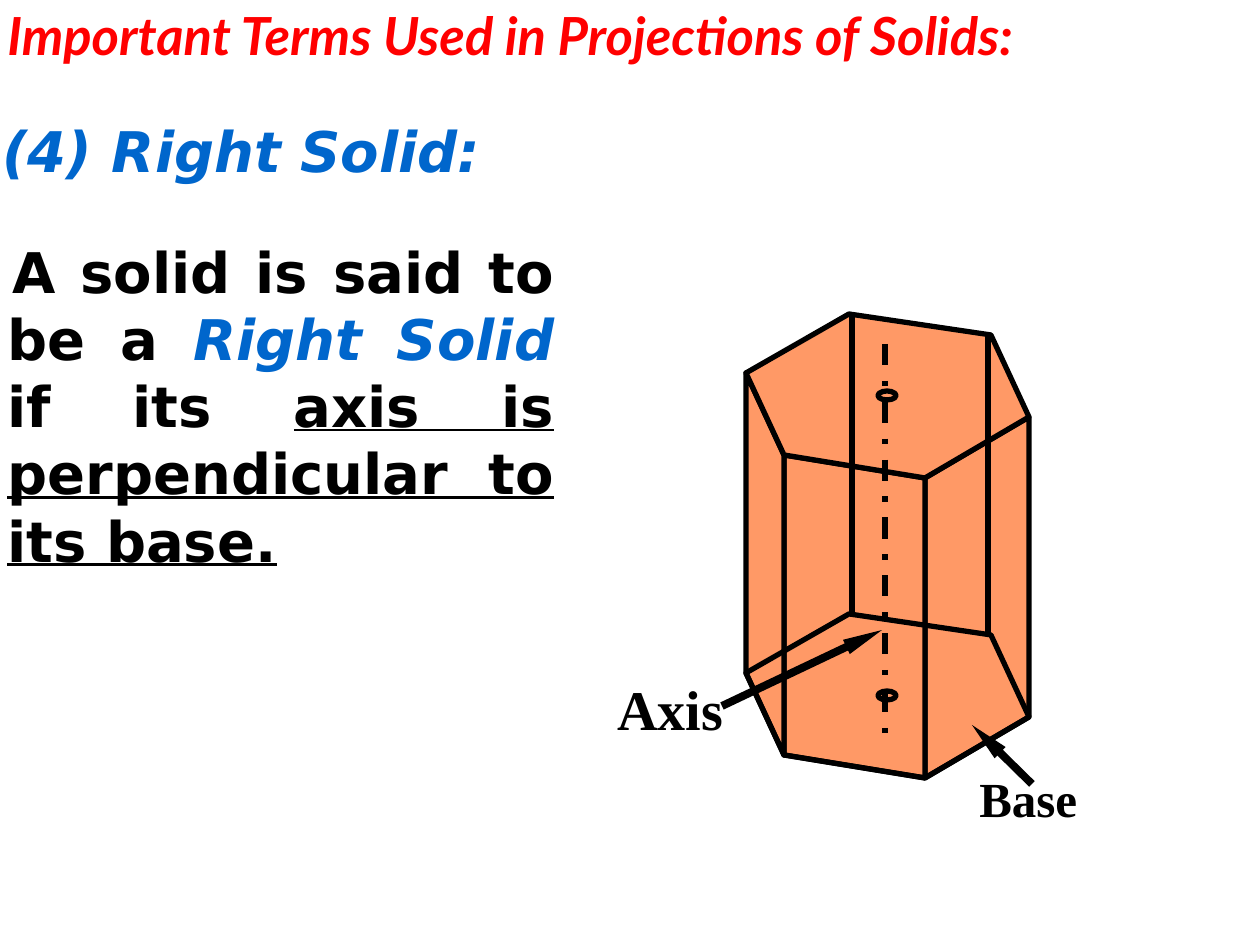
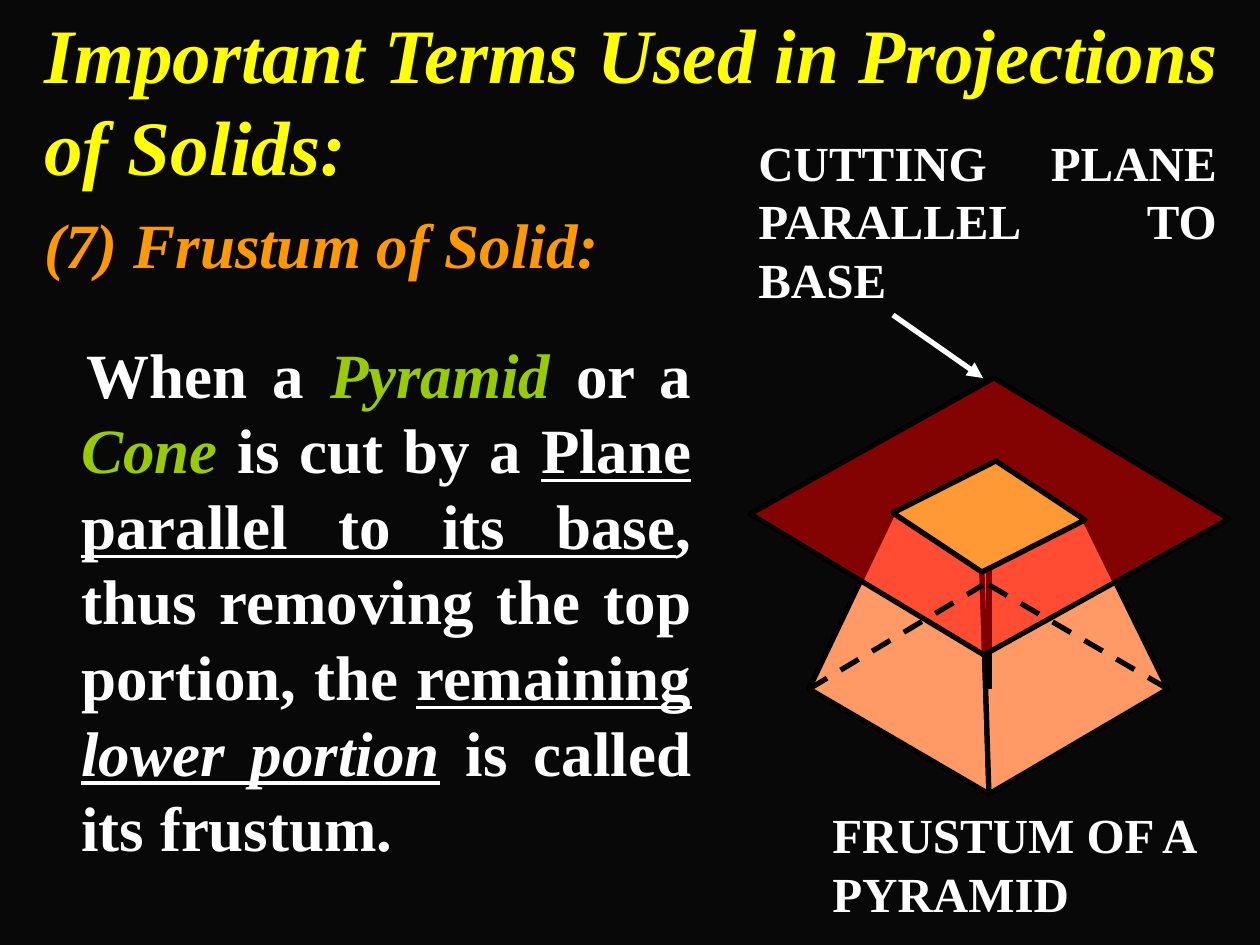
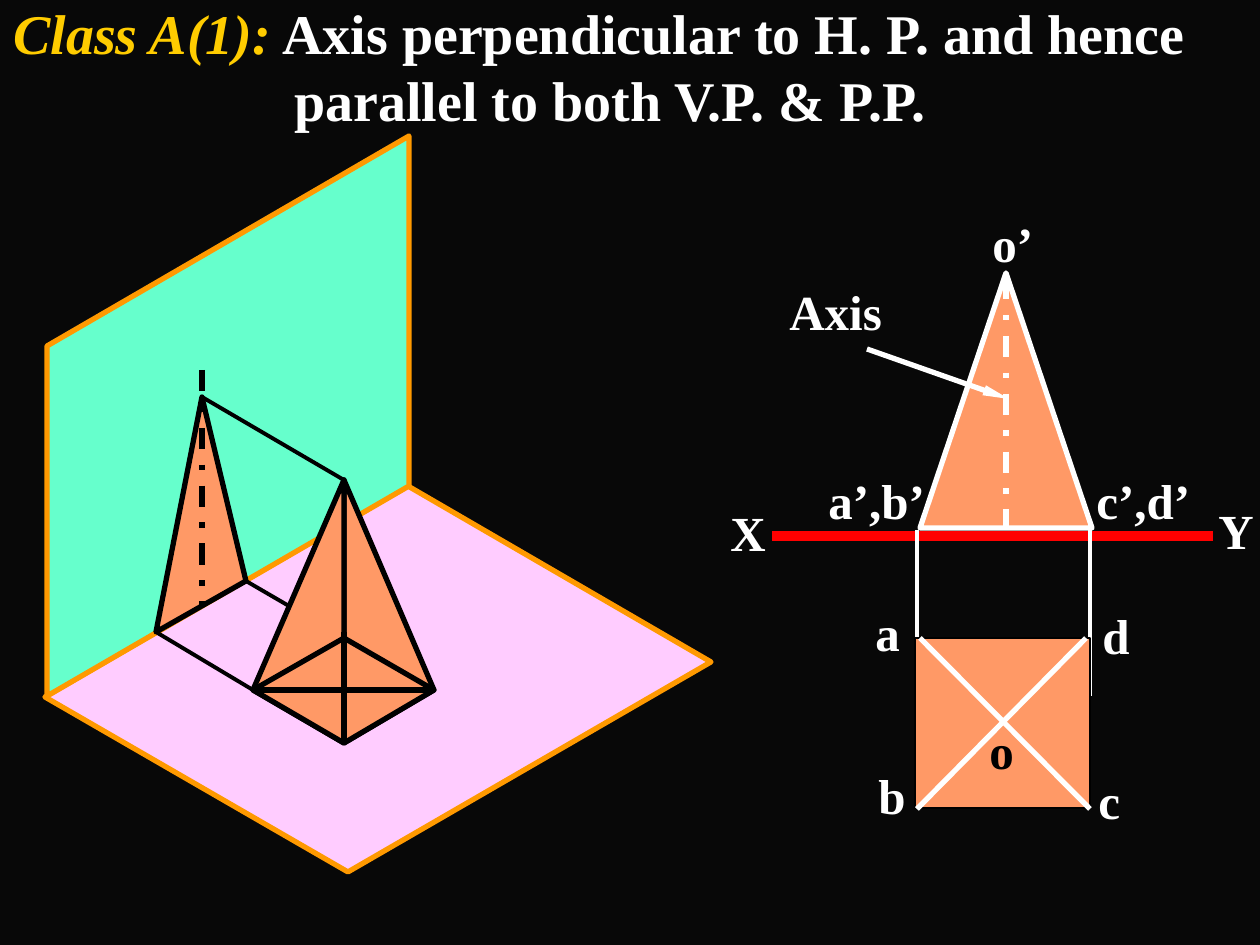
"""Build three slides on the terms and projections of solids."""
import pptx
import pptx.dml.color
import pptx.enum.dml
import pptx.enum.shapes
import pptx.enum.text
import pptx.oxml.ns
import pptx.util
import lxml.etree

PX = pptx.util.Inches(1) / 126
COLORS = {
    "white": "FFFFFF", "black": "000000", "night": "080808", "red": "FF0000",
    "blue": "0066CC", "yellow": "FFFF00", "orange": "FF9900", "gold": "FFCC00",
    "green": "99CC00", "solid": "FF9966", "section": "FF9933",
    "horizontal": "FFCCFF", "vertical": "66FFCC",
}
RGB = {name: pptx.dml.color.RGBColor.from_string(value) for name, value in COLORS.items()}
SERIF = "Times New Roman"
SANS = "DejaVu Sans"
LEFT = pptx.enum.text.PP_ALIGN.LEFT
JUSTIFY = pptx.enum.text.PP_ALIGN.JUSTIFY
DASH = pptx.enum.dml.MSO_LINE.DASH
DASH_DOT = pptx.enum.dml.MSO_LINE.DASH_DOT


def write(page, place, size, spans, font=SERIF, align=LEFT, margin=0, indent=0):
    """Add a bold paragraph made of (text, colour, styles) spans."""
    box = page.shapes.add_textbox(*[round(length * PX) for length in place])
    box.text_frame.word_wrap = True
    box.text_frame.auto_size = pptx.enum.text.MSO_AUTO_SIZE.SHAPE_TO_FIT_TEXT
    para = box.text_frame.paragraphs[0]
    para.alignment = align
    if margin:
        properties = para._p.get_or_add_pPr()
        properties.set("marL", str(round(margin * PX)))
        properties.set("indent", str(round(indent * PX)))
    para.font.name = font
    para.font.size = pptx.util.Pt(size)
    para.font.bold = True
    for text, color, styles in spans:
        span = para.add_run()
        span.text = text
        style = para.font if len(spans) == 1 else span.font
        style.color.rgb = RGB[color]
        style.italic = "i" in styles
        style.underline = "u" in styles


def draw(page, points, color="black", width=3, fill=None, dash=None, arrow=None):
    """Draw a line through two points or a closed outline through more."""
    if len(points) == 2:
        ends = [round(length * PX) for point in points for length in point]
        shape = page.shapes.add_connector(pptx.enum.shapes.MSO_CONNECTOR.STRAIGHT, *ends)
    else:
        builder = page.shapes.build_freeform(*points[0], scale=PX)
        builder.add_line_segments(points[1:], close=True)
        shape = builder.convert_to_shape()
        shape.shadow.inherit = False
        if fill:
            shape.fill.solid()
            shape.fill.fore_color.rgb = RGB[fill]
        else:
            shape.fill.background()
    shape.line.color.rgb = RGB[color]
    shape.line.width = pptx.util.Pt(width)
    if dash:
        shape.line.dash_style = dash
    if arrow:
        tail = lxml.etree.SubElement(shape.line._get_or_add_ln(), pptx.oxml.ns.qn("a:tailEnd"))
        tail.set("type", "triangle")
        tail.set("w", arrow[0])
        tail.set("len", arrow[1])
    if len(points) == 2:
        lxml.etree.SubElement(shape._element.spPr, pptx.oxml.ns.qn("a:effectLst"))
    return shape


deck = pptx.Presentation()
deck.slide_width = round(1260 * PX)
deck.slide_height = round(945 * PX)
pages = []
for background in ("white", "night", "night"):
    page = deck.slides.add_slide(deck.slide_layouts[6])
    page.background.fill.solid()
    page.background.fill.fore_color.rgb = RGB[background]
    pages.append(page)
right_page, frustum_page, class_page = pages
TITLE = "Important Terms Used in Projections of Solids:"

write(right_page, (-5, -3, 1302, 76), 30, [(TITLE, "red", "i")], "Lato", JUSTIFY)
write(right_page, (-10, 110, 514, 79), 32, [("(4) Right Solid:", "blue", "i")],
      SANS, JUSTIFY, 48, -48)
write(right_page, (-53, 231, 620, 349), 32, [
    ("A solid is said to be a ", "black", ""),
    ("Right Solid", "blue", "i"),
    (" if its ", "black", ""),
    ("axis is perpendicular to its base.", "black", "u"),
], SANS, JUSTIFY, 48, 5)

PRISM_HEIGHT = 300
top = [(925, 478), (1029, 417), (991, 335), (849, 314), (746, 373), (784, 455)]
bottom = [(x, y + PRISM_HEIGHT) for x, y in top]
for first, second in ((0, 1), (5, 0), (4, 5)):
    face = [top[first], top[second], bottom[second], bottom[first]]
    draw(right_page, face, fill="solid")
draw(right_page, top, fill="solid")
draw(right_page, bottom)
for x, y in ((988, 333), (852, 316)):
    draw(right_page, [(x, y), (x, y + PRISM_HEIGHT)])
for y in (391, 391 + PRISM_HEIGHT):
    center = right_page.shapes.add_shape(
        pptx.enum.shapes.MSO_SHAPE.OVAL, *[round(length * PX) for length in (878, y, 18, 9)])
    center.shadow.inherit = False
    center.fill.background()
    center.line.color.rgb = RGB["black"]
    center.line.width = pptx.util.Pt(3)
draw(right_page, [(885, 344), (885, 733)], dash=DASH_DOT)
write(right_page, (605, 668, 147, 79), 32, [("Axis", "black", "")])
write(right_page, (967, 762, 173, 72), 28, [("Base", "black", "")])
for points in ([(722, 706), (882, 630)], [(1032, 784), (972, 725)]):
    draw(right_page, points, width=4.5, arrow=("sm", "lg"))

write(frustum_page, (32, 0, 1260, 198), 44, [(TITLE, "yellow", "i")])
write(frustum_page, (32, 199, 609, 88), 36, [("(7) Frustum of Solid:", "orange", "i")],
      SERIF, JUSTIFY, 48, -48)
write(frustum_page, (21, 329, 683, 543), 36, [
    ("When a ", "white", ""),
    ("Pyramid", "green", "i"),
    (" or a ", "white", ""),
    ("Cone", "green", "i"),
    (" is cut by a ", "white", ""),
    ("Plane parallel to its base", "white", "u"),
    (", thus removing the top portion, the ", "white", ""),
    ("remaining ", "white", "u"),
    ("lower portion", "white", "iu"),
    (" is called its frustum.", "white", ""),
], SERIF, JUSTIFY, 48, 5)

cut_left, cut_front, cut_right, cut_back = (893, 513), (982, 572), (1085, 520), (996, 461)
base_left, base_front, base_right, base_back = (809, 689), (989, 794), (1168, 689), (989, 585)
draw(frustum_page, [base_left, cut_left, cut_front, base_front], fill="solid")
draw(frustum_page, [base_front, cut_front, cut_right, base_right], fill="solid")
draw(frustum_page, [(989, 517), (989, 689)])
plane = draw(frustum_page, [(984, 655), (1229, 519), (994, 378), (750, 514)], fill="red")
plane_color = plane._element.spPr.find(".//" + pptx.oxml.ns.qn("a:srgbClr"))
lxml.etree.SubElement(plane_color, pptx.oxml.ns.qn("a:alpha")).set("val", "50000")
draw(frustum_page, [cut_front, cut_right, cut_back, cut_left], fill="section")
draw(frustum_page, [base_left, (983, 585)], dash=DASH)
draw(frustum_page, [base_back, base_right], dash=DASH)
write(frustum_page, (820, 798, 420, 130), 28, [("FRUSTUM OF A PYRAMID", "white", "")])
write(frustum_page, (746, 126, 483, 189), 28,
      [("CUTTING PLANE PARALLEL TO BASE", "white", "")], align=JUSTIFY)
draw(frustum_page, [(893, 315), (983, 378)], "white", arrow=("med", "med"))

write(class_page, (-111, -8, 1355, 147), 32, [
    ("Class A(1):", "gold", "i"),
    (" Axis perpendicular to H. P. and hence parallel to both V.P. & P.P.", "white", ""),
], margin=393, indent=-281)
draw(class_page, [(772, 536), (1213, 536)], "red", 6)
draw(class_page, [(348, 872), (711, 662), (408, 486), (45, 697)], "orange", fill="horizontal")
draw(class_page, [(47, 696), (409, 486), (409, 136), (47, 346)], "orange", fill="vertical")

view_apex, view_left, view_right = (202, 397), (156, 632), (246, 581)
apex, left, front, right, back = (344, 480), (253, 690), (344, 743), (434, 690), (344, 638)
draw(class_page, [view_apex, view_left, view_right], fill="solid")
for projector in ([apex, view_apex], [left, view_left], [back, view_right]):
    draw(class_page, projector, width=2.25)
draw(class_page, [(202, 370), (202, 606)], dash=DASH_DOT)
for outline in ([front, apex, right], [front, apex, left], [front, right, back, left]):
    draw(class_page, outline, fill="solid")
draw(class_page, [(344, 632), front])
draw(class_page, [left, right])

draw(class_page, [(920, 528), (1092, 528), (1006, 273)], "white", fill="solid")
draw(class_page, [(917, 530), (917, 699)], "white", 2.25)
draw(class_page, [(1090, 528), (1090, 696)], "white", 2.25)
plan = class_page.shapes.add_shape(
    pptx.enum.shapes.MSO_SHAPE.RECTANGLE, *[round(length * PX) for length in (915, 638, 175, 170)])
plan.shadow.inherit = False
plan.fill.solid()
plan.fill.fore_color.rgb = RGB["solid"]
plan.line.color.rgb = RGB["black"]
plan.line.width = pptx.util.Pt(0.75)
draw(class_page, [(920, 638), (1090, 809)], "white")
draw(class_page, [(1086, 638), (917, 809)], "white")
for label, x, y, width, color in (
    ("X", 718, 496, 91, "white"),
    ("Y", 1206, 494, 91, "white"),
    ("a", 863, 596, 91, "white"),
    ("b", 866, 759, 91, "white"),
    ("d", 1090, 599, 91, "white"),
    ("c", 1086, 764, 91, "white"),
    ("c’,d’", 1084, 464, 120, "white"),
    ("a’,b’", 816, 464, 146, "white"),
    ("o’", 980, 207, 91, "white"),
    ("o", 977, 714, 91, "black"),
    ("Axis", 777, 275, 144, "white"),
):
    write(class_page, (x, y, width, 72), 28, [(label, color, "")])
draw(class_page, [(1006, 278), (1006, 528)], "white", dash=DASH_DOT)
draw(class_page, [(867, 349), (1009, 399)], "white", arrow=("sm", "lg"))

deck.save("out.pptx")
